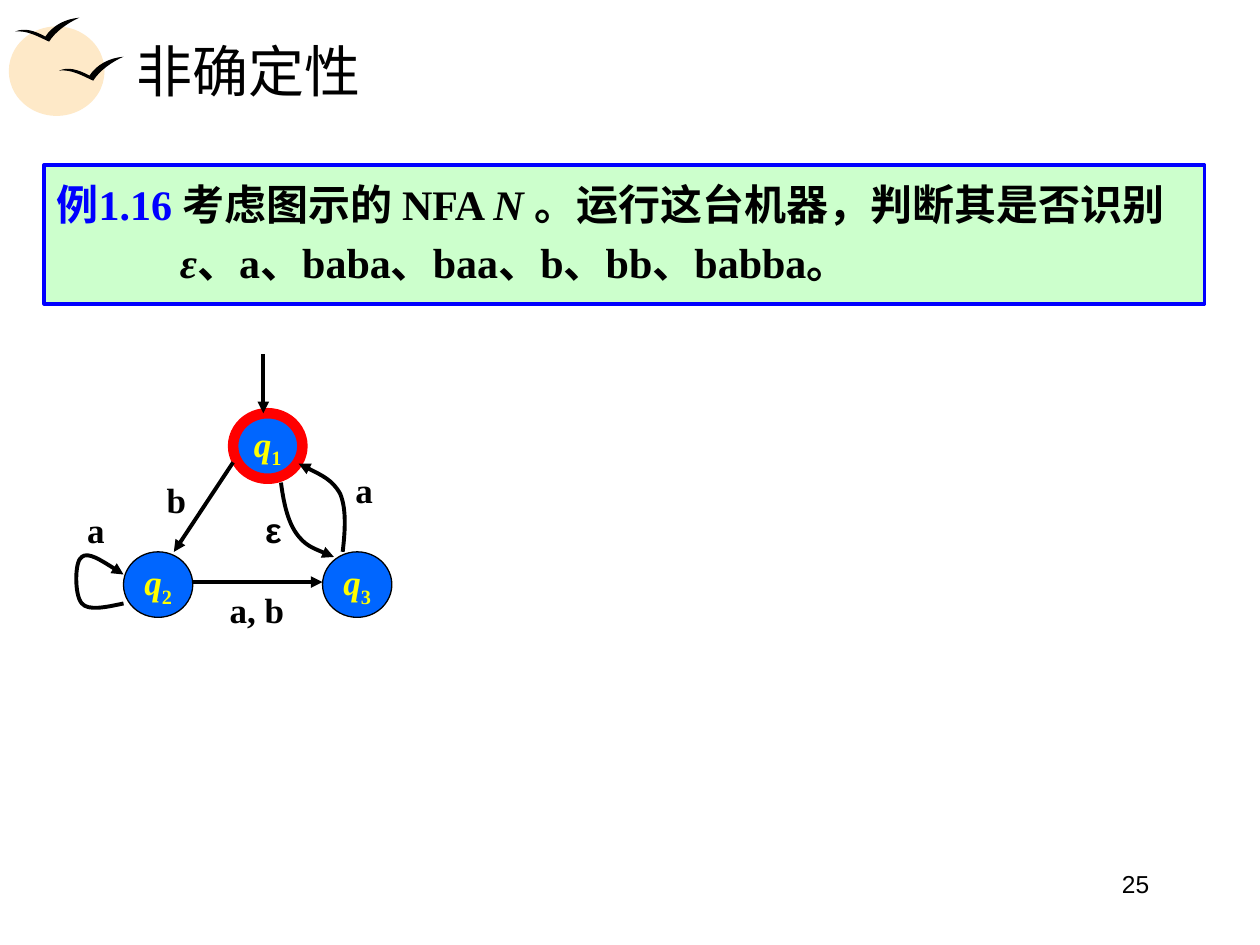
from dataclasses import dataclass

from lxml.etree import SubElement
from pptx import Presentation
from pptx.dml.color import RGBColor
from pptx.enum.shapes import MSO_CONNECTOR as Conn, MSO_SHAPE as Kind
from pptx.enum.text import MSO_ANCHOR as Anchor, PP_ALIGN as Align
from pptx.oxml.ns import qn
from pptx.util import Inches, Pt


@dataclass(frozen=True)
class Theme:
    black: str = "000000"
    blue: str = "0000FF"
    green: str = "CCFFCC"
    state: str = "0066FF"
    name: str = "FFFF00"
    accept: str = "FF0000"
    sun: str = "FEE9C8"
    serif: str = "Times New Roman"
    sans: str = "Arial"
    title: int = 32
    body: int = 24
    label: int = 20
    page: int = 14
    thin: float = 0.75
    edge: float = 2.25
    ring: float = 6


T = Theme()

# Bird outline: a start point, then two controls and an end for each curve.
BIRD = [(0, 0.11),
        (0.07, 0.08), (0.15, 0.1), (0.24, 0.15),
        (0.3, 0.06), (0.4, 0.01), (0.51, 0),
        (0.42, 0.04), (0.32, 0.11), (0.27, 0.19),
        (0.18, 0.15), (0.1, 0.1), (0, 0.11)]

# The machine, measured from its top left corner.
WIDE, HIGH = 0.55, 0.52
STATES = {"1": (1.35, 0.48), "2": (0.48, 1.58), "3": (2.06, 1.58)}
ACCEPT = {"1"}
LOOP = [(0.48, 1.99),
        (0.34, 2.02), (0.2, 2.05), (0.15, 1.99),
        (0.09, 1.93), (0.09, 1.65), (0.15, 1.62),
        (0.2, 1.58), (0.34, 1.67), (0.48, 1.76)]
DOWN = [(1.73, 1.03),
        (1.75, 1.18), (1.78, 1.33), (1.85, 1.43),
        (1.92, 1.53), (2.03, 1.57), (2.15, 1.62)]
BACK = [(2.22, 1.58),
        (2.24, 1.41), (2.25, 1.24), (2.2, 1.12),
        (2.14, 1.01), (2.01, 0.95), (1.87, 0.88)]
# Symbol, its centre and top, its font
LABELS = [("a", 0.26, 1.19, T.serif),
          ("a, b", 1.54, 1.82, T.serif),
          ("b", 0.9, 0.95, T.serif),
          ("a", 2.39, 0.87, T.serif),
          ("ε", 1.67, 1.19, T.sans)]


def rgb(code):
    return RGBColor.from_string(code)


def add_run(para, words, size, color=T.black, face=T.serif,
            bold=True, italic=False):
    run = para.add_run()
    run.text = words
    font = run.font
    font.size, font.name = Pt(size), face
    font.bold, font.italic = bold, italic
    font.color.rgb = rgb(color)
    return run


def paint(shape, fill=None, line=None, width=T.edge):
    """Set fill and line; None leaves that part out."""
    shape.shadow.inherit = False
    if fill:
        shape.fill.solid()
        shape.fill.fore_color.rgb = rgb(fill)
    else:
        shape.fill.background()
    if line:
        shape.line.color.rgb = rgb(line)
        shape.line.width = Pt(width)
    else:
        shape.line.fill.background()


def add_shape(slide, kind, box, **look):
    shape = slide.shapes.add_shape(kind, *map(Inches, box))
    paint(shape, **look)
    return shape


def add_text(slide, box, words, size, align=Align.CENTER, wrap=False, **look):
    frame = slide.shapes.add_textbox(*map(Inches, box)).text_frame
    frame.word_wrap = wrap
    para = frame.paragraphs[0]
    para.alignment = align
    add_run(para, words, size, **look)


def add_head(line):
    SubElement(line.line._get_or_add_ln(), qn("a:tailEnd"), type="triangle")


def add_curve(slide, x, y, points, close=False, **look):
    """Draw a start point and its Bézier triples, shifted by x and y."""
    start, *rest = [(Inches(x + px), Inches(y + py)) for px, py in points]
    pen = slide.shapes.build_freeform(*start)
    pen.add_line_segments(rest, close=close)
    shape = pen.convert_to_shape()
    steps = list(shape._element.iter(qn("a:lnTo")))
    for i in range(0, len(rest), 3):
        cubic = SubElement(steps[i].getparent(), qn("a:cubicBezTo"))
        steps[i].addprevious(cubic)
        for step in steps[i:i + 3]:
            cubic.append(step[0])
            step.getparent().remove(step)
    paint(shape, **look)
    return shape


def add_arrow(slide, x, y, start, end):
    ends = [Inches(base + part) for point in (start, end)
            for base, part in zip((x, y), point)]
    arrow = slide.shapes.add_connector(Conn.STRAIGHT, *ends)
    arrow.line.color.rgb = rgb(T.black)
    arrow.line.width = Pt(T.edge)
    add_head(arrow)
    SubElement(arrow._element.spPr, qn("a:effectLst"))


def add_state(slide, x, y, index):
    line, width = ((T.accept, T.ring) if index in ACCEPT
                   else (T.black, T.thin))
    shape = add_shape(slide, Kind.OVAL, (x, y, WIDE, HIGH),
                      fill=T.state, line=line, width=width)
    frame = shape.text_frame
    frame.word_wrap = False
    frame.vertical_anchor = Anchor.MIDDLE
    para = frame.paragraphs[0]
    para.alignment = Align.CENTER
    add_run(para, "q", T.label, T.name, italic=True)
    low = add_run(para, index, T.label, T.name)
    low.font._element.set("baseline", "-25000")


def add_emblem(slide, x, y):
    add_shape(slide, Kind.OVAL, (x, y + 0.07, 0.76, 0.71), fill=T.sun)
    for dx, dy in ((0.4, 0.31), (0.05, 0)):
        add_curve(slide, x + dx, y + dy, BIRD, close=True, fill=T.black)


def set_title(slide, box, words):
    title = slide.shapes.title
    title.left, title.top, title.width, title.height = map(Inches, box)
    frame = title.text_frame
    frame.vertical_anchor = Anchor.MIDDLE
    para = frame.paragraphs[0]
    para.alignment = Align.LEFT
    add_run(para, words, T.title, bold=False)


def add_example(slide, box):
    shape = add_shape(slide, Kind.RECTANGLE, box, fill=T.green, line=T.blue)
    frame = shape.text_frame
    frame.word_wrap = True
    frame.vertical_anchor = Anchor.TOP
    para = frame.paragraphs[0]
    para.alignment, para.line_spacing = Align.LEFT, 1.15
    hang = Inches(0.98)
    props = para._p.get_or_add_pPr()
    props.set("marL", str(hang))
    props.set("indent", str(-hang))
    add_run(para, "例1.16 ", T.body, T.blue)
    for words, italic in (("考虑图示的 NFA ", False), ("N ", True),
                          ("。运行这台机器，判断其是否识别", False), ("ε", True),
                          ("、a、baba、baa、b、bb、babba。", False)):
        add_run(para, words, T.body, italic=italic)


def add_machine(slide, x, y):
    for index, (sx, sy) in STATES.items():
        add_state(slide, x + sx, y + sy, index)

    (x1, y1), (x2, y2), (x3, _) = STATES.values()
    row = y2 + 0.24
    entry = x1 + 0.24
    for start, end in (((entry, y1 - 0.47), (entry, y1)),
                       ((x1, y1 + 0.39), (x2 + 0.4, y2)),
                       ((x2 + WIDE, row), (x3, row))):
        add_arrow(slide, x, y, start, end)

    for points in (LOOP, DOWN, BACK):
        add_head(add_curve(slide, x, y, points, line=T.black))

    wide, high = 0.64, 0.44
    for words, mid, top, face in LABELS:
        add_text(slide, (x + mid - wide / 2, y + top, wide, high),
                 words, T.label, face=face)


def main():
    deck = Presentation()
    deck.slide_width, deck.slide_height = Inches(10), Inches(7.5)
    slide = deck.slides.add_slide(deck.slide_layouts[5])
    add_emblem(slide, 0.07, 0.14)
    set_title(slide, (0.98, 0.21, 8.53, 0.69), "非确定性")
    add_example(slide, (0.35, 1.31, 9.21, 1.1))
    add_machine(slide, 0.5, 2.8)
    add_text(slide, (6.89, 6.85, 2.33, 0.52), "25", T.page,
             align=Align.RIGHT, wrap=True, face=T.sans, bold=False)
    deck.save("out.pptx")


if __name__ == "__main__":
    main()
